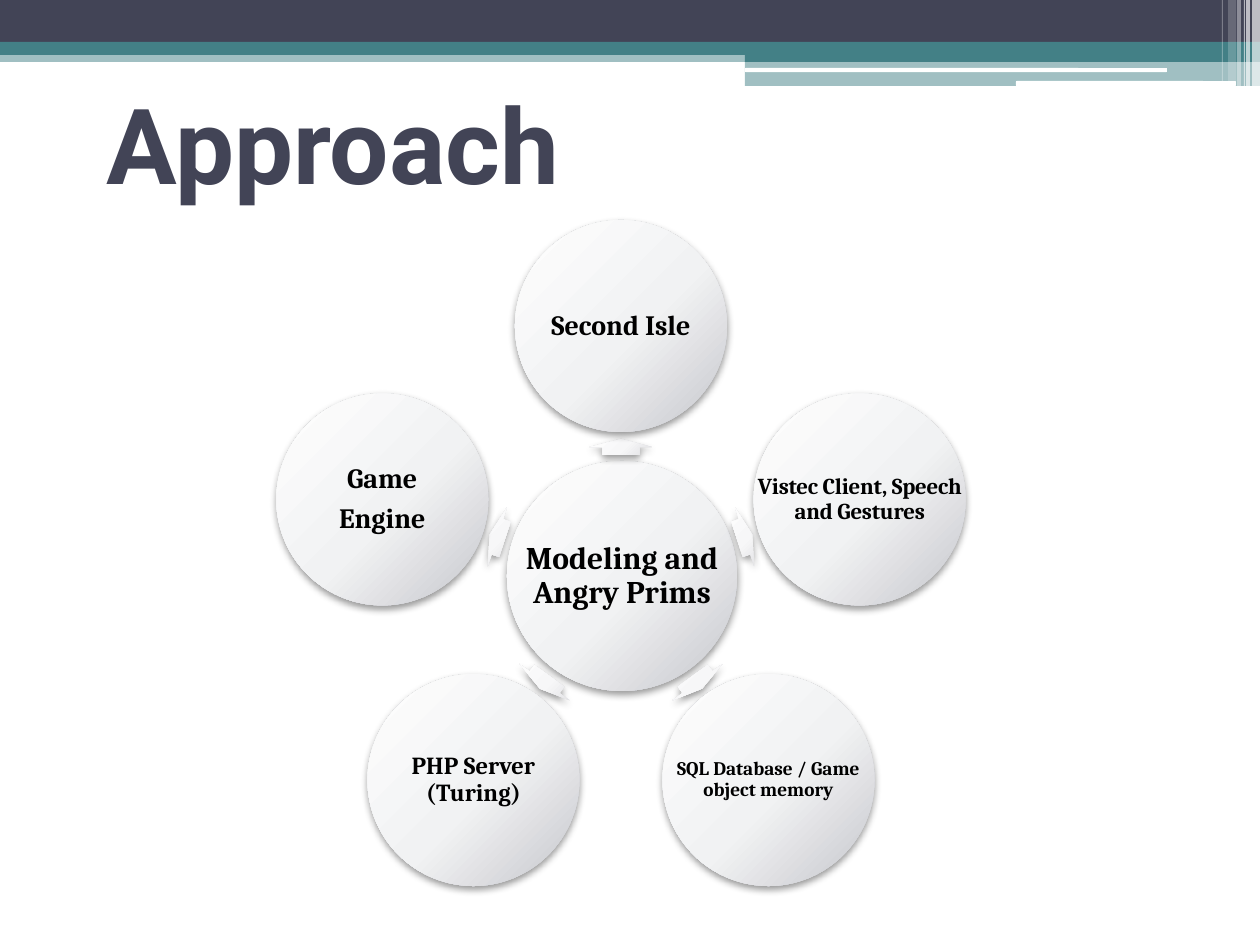
from dataclasses import dataclass
from math import cos, radians, sin

from lxml import etree
from pptx import Presentation
from pptx.dml.color import RGBColor
from pptx.enum.shapes import MSO_SHAPE
from pptx.enum.text import MSO_ANCHOR, PP_ALIGN
from pptx.oxml import parse_xml
from pptx.oxml.ns import nsdecls, qn
from pptx.util import Emu, Pt

RECT, ROUND = MSO_SHAPE.RECTANGLE, MSO_SHAPE.ROUNDED_RECTANGLE
OVAL, ARROW = MSO_SHAPE.OVAL, MSO_SHAPE.RIGHT_ARROW
MIDDLE, CENTER = MSO_ANCHOR.MIDDLE, PP_ALIGN.CENTER
PX = 914400 / 126


@dataclass(frozen=True)
class Theme:
    navy: str = "424456"
    teal: str = "438086"
    white: str = "FFFFFF"
    black: str = "000000"
    disc: tuple = ("FEFEFE", "F1F2F3", "C6C6CC")
    arrow: tuple = ("FEFEFE", "F7F7F8", "DFDFE2")
    title_font: str = "Roboto"
    label_font: str = "Cambria"
    title_size: int = 60
    hub_size: int = 18


theme = Theme()
deck = Presentation()
deck.slide_width, deck.slide_height = Emu(9144000), Emu(6858000)
page = deck.slides.add_slide(deck.slide_layouts[6])


def add_glossy(kind, center_x, center_y, width, height, colors):
    """Add a centred shape with a soft radial gradient and a drop shadow."""
    shape = page.shapes.add_shape(
        kind, *[Emu(round(v * PX)) for v in
                (center_x - width / 2, center_y - height / 2, width, height)])
    shape.line.fill.background()
    shape.shadow.inherit = False
    stops = "".join(f'<a:gs pos="{position}"><a:srgbClr val="{color}"/></a:gs>'
                    for position, color in zip((0, 55000, 100000), colors))
    properties = shape.fill._xPr
    properties.insert(2, parse_xml(
        f'<a:gradFill {nsdecls("a")} rotWithShape="1"><a:gsLst>{stops}</a:gsLst>'
        '<a:path path="circle"><a:fillToRect l="-40000" t="-90000" r="140000" b="190000"/>'
        '</a:path></a:gradFill>'))
    properties.find(qn("a:effectLst")).append(parse_xml(
        f'<a:outerShdw {nsdecls("a")} blurRad="52070" dist="25400" dir="5400000" '
        f'rotWithShape="0"><a:srgbClr val="{theme.black}"><a:alpha val="40000"/>'
        '</a:srgbClr></a:outerShdw>'))
    return shape


def add_text(left, top, width, height, lines, size, font, color, inset, align=None, spacing=0):
    box = page.shapes.add_textbox(*[Emu(round(v * PX)) for v in (left, top, width, height)])
    frame = box.text_frame
    frame.word_wrap = True
    frame.vertical_anchor = MIDDLE
    frame.margin_left = frame.margin_right = Emu(round(inset * PX))
    frame.margin_top = frame.margin_bottom = Emu(round(inset * PX))
    for index, line in enumerate(lines):
        para = frame.paragraphs[0] if index == 0 else frame.add_paragraph()
        if align is not None:
            para.alignment = align
            para.line_spacing = 0.9
            para.space_after = Pt(6)
        span = para.add_run()
        span.text = line
        span.font.name = font
        span.font.size = Pt(size)
        span.font.bold = True
        span.font.color.rgb = RGBColor.from_string(color)
        if spacing:
            span.font._element.set("spc", str(spacing))


# Header bands and stripes: kind, left, top, width, height, colour, opacity in percent
header = [
    (RECT, 0, 50, 1260, 12, theme.teal, 50),
    (RECT, 0, 0, 1260, 43, theme.navy, 100),
    (RECT, 0, 42, 1260, 13, theme.teal, 100),
    (RECT, 745, 49, 515, 13, theme.teal, 100),
    (RECT, 745, 61, 515, 25, theme.teal, 50),
    (ROUND, 745, 68, 422, 4, theme.white, 100),
    (ROUND, 1016, 81, 220, 5, theme.white, 100),
    (RECT, 1252, 0, 8, 86, theme.white, 65),
    (RECT, 1246, 0, 4, 86, theme.white, 65),
    (RECT, 1244, 0, 1, 86, theme.white, 60),
    (RECT, 1237, 0, 4, 86, theme.white, 40),
    (RECT, 1228, 0, 8, 81, theme.white, 20),
    (RECT, 1222, 0, 1, 81, theme.white, 30),
]
for kind, left, top, width, height, color, opacity in header:
    band = page.shapes.add_shape(kind, *[Emu(round(v * PX)) for v in (left, top, width, height)])
    band.shadow.inherit = False
    band.line.fill.background()
    band.fill.solid()
    band.fill.fore_color.rgb = RGBColor.from_string(color)
    if opacity < 100:
        solid = band.fill._xPr.find(qn("a:solidFill"))
        etree.SubElement(solid[0], qn("a:alpha")).set("val", str(opacity * 1000))

add_text(95, 63, 1061, 158, ["Approach"], theme.title_size, theme.title_font, theme.navy, 12)

# Hub with five discs on a ring, clockwise from the top
hub_x, hub_y, hub_diameter = 621, 577, 230
ring_radius, arrow_radius, disc_diameter = 251, 130, 212

add_glossy(OVAL, hub_x + 1, hub_y - 1, hub_diameter, hub_diameter, theme.disc)
add_text(hub_x + 1 - hub_diameter / 2, hub_y - 1 - hub_diameter / 2, hub_diameter, hub_diameter,
         ["Modeling and Angry Prims"], theme.hub_size, theme.label_font, theme.black, 4, CENTER)

# Lines, type size, inset, letter spacing in hundredths of a point
discs = [
    (["Second Isle"], 16, 3, 0),
    (["Vistec Client, Speech and Gestures"], 13, 0, -10),
    (["SQL Database / Game object memory"], 11, 3, 0),
    (["PHP Server (Turing)"], 14, 3, 0),
    (["Game", "Engine"], 16, 3, 0),
]
for index, (lines, size, inset, spacing) in enumerate(discs):
    angle = index * 360 / len(discs) - 90
    across, down = cos(radians(angle)), sin(radians(angle))
    arrow = add_glossy(ARROW, hub_x + arrow_radius * across, hub_y + arrow_radius * down,
                       16, 62, theme.arrow)
    arrow.adjustments[0] = 0.6
    arrow.rotation = angle % 360
    disc_x, disc_y = hub_x + ring_radius * across, hub_y + ring_radius * down
    add_glossy(OVAL, disc_x, disc_y, disc_diameter, disc_diameter, theme.disc)
    add_text(disc_x - disc_diameter / 2, disc_y - disc_diameter / 2, disc_diameter, disc_diameter,
             lines, size, theme.label_font, theme.black, inset, CENTER, spacing)

deck.save("out.pptx")
